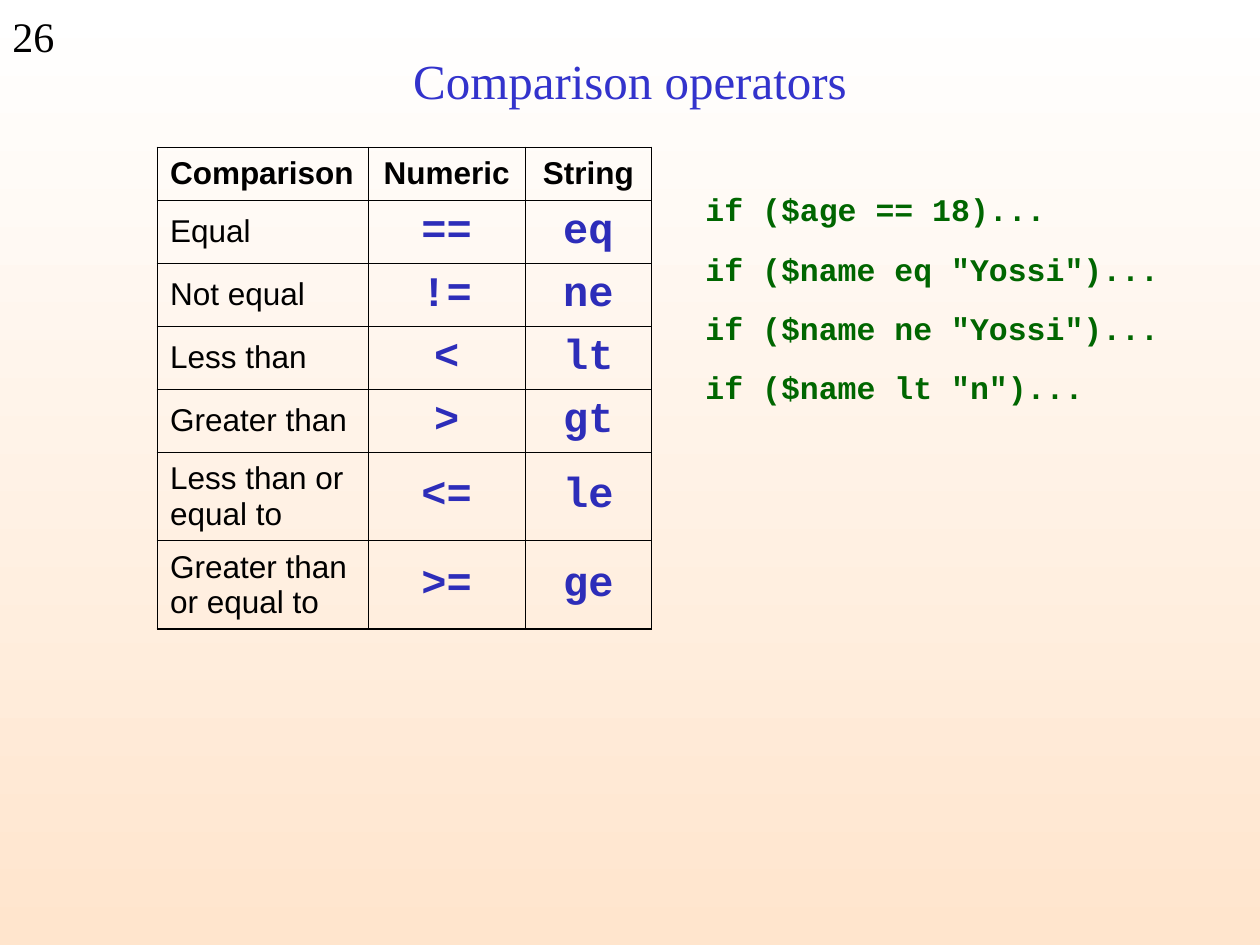
from lxml.etree import SubElement
from pptx import Presentation
from pptx.dml.color import RGBColor
from pptx.enum.text import MSO_ANCHOR as Anchor, PP_ALIGN as Align
from pptx.oxml.ns import qn
from pptx.util import Inches, Pt

COLORS = {
    "text": "000000", "title": "3333CC", "operator": "2D2DB9",
    "code": "006600", "bg_top": "FFFFFF", "bg_bottom": "FFE5CD",
}
THIN, THICK = 0.45, 1.08

HEADER = ("Comparison", "Numeric", "String")
OPERATORS = [
    ("Equal", "==", "eq"),
    ("Not equal", "!=", "ne"),
    ("Less than", "<", "lt"),
    ("Greater than", ">", "gt"),
    ("Less than or equal to", "<=", "le"),
    ("Greater than or equal to", ">=", "ge"),
]
COL_WIDTHS = (1.67, 1.25, 1)
ROW_HEIGHTS = [0.42] + [0.5] * 4 + [0.7] * 2
EXAMPLES = [
    "if ($age == 18)...",
    'if ($name eq "Yossi")...',
    'if ($name ne "Yossi")...',
    'if ($name lt "n")...',
]


def rgb(name):
    return RGBColor.from_string(COLORS[name])


def write(tf, text, size=18, font="Arial", color="text", bold=False,
          align=Align.LEFT, gap=0):
    """Fill a text frame, one paragraph per line of text."""
    for i, line in enumerate(text.split("\n")):
        p = tf.paragraphs[0] if i == 0 else tf.add_paragraph()
        p.alignment = align
        if i:
            p.space_before = Pt(gap)
        r = p.add_run()
        r.text = line
        r.font.size, r.font.name, r.font.bold = Pt(size), font, bold
        r.font.color.rgb = rgb(color)


class SlideBuilder:
    def __init__(self, prs):
        self.s = prs.slides.add_slide(prs.slide_layouts[6])

    def background(self, top, bottom):
        fill = self.s.background.fill
        fill.gradient()
        fill.gradient_angle = 270
        for stop, name, pos in zip(fill.gradient_stops, (top, bottom), (0, 1)):
            stop.color.rgb, stop.position = rgb(name), pos

    def text(self, box, text, anchor=Anchor.TOP, inset=0.05, **fmt):
        sp = self.s.shapes.add_textbox(*map(Inches, box))
        tf = sp.text_frame
        tf.word_wrap = True
        tf.vertical_anchor = anchor
        tf.margin_top = Inches(inset)
        write(tf, text, **fmt)

    def borders(self, cell, widths):
        tc_pr = cell._tc.get_or_add_tcPr()
        for side, width in widths.items():
            ln = SubElement(tc_pr, qn(f"a:ln{side}"), w=str(Pt(width)))
            fill = SubElement(ln, qn("a:solidFill"))
            SubElement(fill, qn("a:srgbClr"), val=COLORS["text"])

    def table(self, left, top, rows):
        n_rows, n_cols = len(rows), len(COL_WIDTHS)
        size = sum(COL_WIDTHS), sum(ROW_HEIGHTS)
        box = map(Inches, (left, top, *size))
        tbl = self.s.shapes.add_table(n_rows, n_cols, *box).table
        tbl.first_row = tbl.horz_banding = False
        for col, width in zip(tbl.columns, COL_WIDTHS):
            col.width = Inches(width)
        for row, height in zip(tbl.rows, ROW_HEIGHTS):
            row.height = Inches(height)

        for i, row in enumerate(rows):
            for j, value in enumerate(row):
                cell = tbl.cell(i, j)
                cell.vertical_anchor = Anchor.MIDDLE
                # Thick outer frame, thin inner grid
                outer = {"L": j == 0, "R": j == n_cols - 1,
                         "T": i == 0, "B": i == n_rows - 1}
                self.borders(cell, {side: THICK if edge else THIN
                                    for side, edge in outer.items()})
                cell.fill.background()
                fmt = {"bold": i == 0}
                if i and j:
                    fmt = dict(size=24, font="Courier New",
                               color="operator", bold=True)
                write(cell.text_frame, value,
                      align=Align.CENTER if j else Align.LEFT, **fmt)


def main():
    prs = Presentation()
    prs.slide_width, prs.slide_height = Inches(10), Inches(7.5)
    slide = SlideBuilder(prs)
    slide.background("bg_top", "bg_bottom")

    # Page number and title
    slide.text((0, 0, 1.14, 0.5), "26", inset=0.08, size=24,
               font="Times New Roman")
    slide.text((0.75, 0.17, 8.5, 0.92), "Comparison operators",
               anchor=Anchor.MIDDLE, size=28, font="Times New Roman",
               color="title", align=Align.CENTER)

    # Operator table
    slide.table(1.25, 1.17, [HEADER] + OPERATORS)

    # Code examples
    slide.text((5.5, 1.42, 4.25, 2.23), "\n".join(EXAMPLES), inset=0.09,
               font="Courier New", color="code", bold=True, gap=12.3)

    prs.save("out.pptx")


if __name__ == "__main__":
    main()
